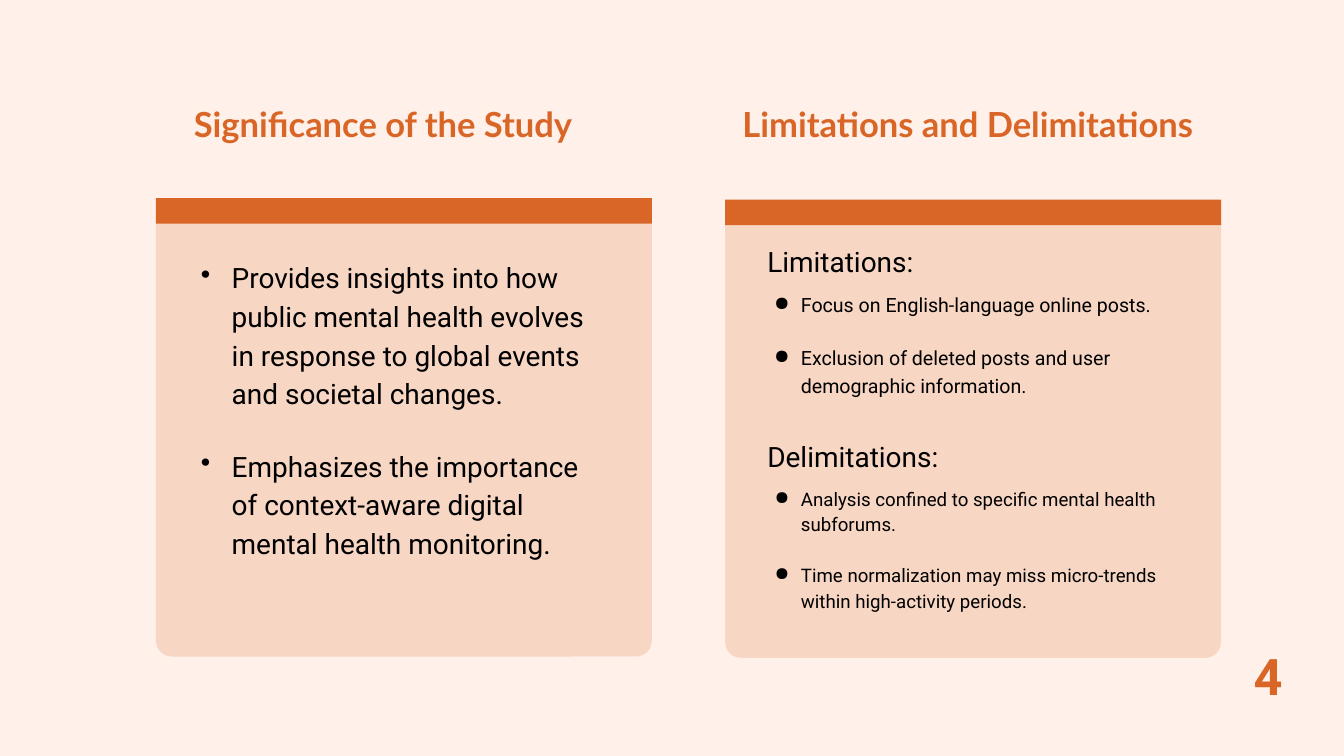
from pptx import Presentation
from pptx.dml.color import RGBColor
from pptx.enum.shapes import MSO_SHAPE as SHAPE
from pptx.enum.text import MSO_ANCHOR as ANCHOR, MSO_AUTO_SIZE as AUTO, PP_ALIGN as ALIGN
from pptx.oxml.ns import qn
from pptx.util import Inches, Pt
from lxml.etree import SubElement

COLORS = {"background": "FFF0E9", "accent": "D96627", "text": "000000"}
CARD_W, CARD_H, BAR_H = 7.38, 6.74, 0.38

# Each paragraph: text, size, bullet, hanging indent, space before, space after
CARDS = [
    {"heading": "Significance of the Study", "heading_left": 0.31,
     "left": 2.32, "top": 2.95, "text_top": 3.76, "paragraphs": [
         ("Provides insights into how public mental health evolves in response "
          "to global events and societal changes.", 30, "•", 0.46, 0, 36),
         ("Emphasizes the importance of context-aware digital mental health "
          "monitoring.", 30, "•", 0.46, 0, 0)]},
    {"heading": "Limitations and Delimitations", "heading_left": 9.01,
     "left": 10.79, "top": 2.97, "text_top": 3.52, "paragraphs": [
         ("Limitations:", 30, None, 0, 0, 0),
         ("Focus on English-language online posts.", 21, "●", 0.4, 12, 28),
         ("Exclusion of deleted posts and user demographic information.",
          21, "●", 0.4, 0, 28),
         ("Delimitations:", 30, None, 0, 12, 0),
         ("Analysis confined to specific mental health subforums.",
          20, "●", 0.39, 12, 27),
         ("Time normalization may miss micro-trends within high-activity periods.",
          20, "●", 0.39, 0, 0)]},
]


def rgb(name):
    return RGBColor.from_string(COLORS[name])


def style(p, font, size, color, bold=False):
    for r in p.runs:
        r.font.name, r.font.size, r.font.bold = font, Pt(size), bold
        r.font.color.rgb = rgb(color)


def place(sp, left, top, width, height):
    sp.left, sp.top, sp.width, sp.height = map(Inches, (left, top, width, height))


def add_label(sp, text, font, size):
    """Format a flush, centred accent label."""
    tf = sp.text_frame
    tf.text = text
    tf.word_wrap, tf.auto_size, tf.vertical_anchor = True, AUTO.NONE, ANCHOR.TOP
    tf.margin_left = tf.margin_right = tf.margin_top = tf.margin_bottom = 0
    p = tf.paragraphs[0]
    p.alignment, p.line_spacing = ALIGN.CENTER, 0.8
    style(p, font, size, "accent", True)


def add_block(s, kind, left, top, height, opacity=100):
    sp = s.shapes.add_shape(kind, Inches(left), Inches(top), Inches(CARD_W), Inches(height))
    sp.shadow.inherit = False
    sp.fill.solid()
    sp.fill.fore_color.rgb = rgb("accent")
    sp.line.fill.background()
    if opacity < 100:
        color = sp._element.spPr.find(qn("a:solidFill"))[0]
        SubElement(color, qn("a:alpha"), val=str(opacity * 1000))
    return sp


def add_bullet(p, char, hang):
    pPr = p._p.get_or_add_pPr()
    pPr.set("marL", str(Inches(0.5)))
    pPr.set("indent", str(-Inches(hang)))
    color = SubElement(pPr, qn("a:buClr"))
    SubElement(color, qn("a:srgbClr"), val=COLORS["text"])
    SubElement(pPr, qn("a:buChar"), char=char)


def add_card(s, card):
    left, top = card["left"], card["top"]
    add_block(s, SHAPE.RECTANGLE, left, top, BAR_H)
    body = add_block(s, SHAPE.ROUNDED_RECTANGLE, left, top + 0.08, CARD_H, 19)
    body.adjustments[0] = 0.035
    text_top = card["text_top"]
    box = s.shapes.add_textbox(Inches(left + 0.53), Inches(text_top), Inches(6.33),
                               Inches(top + CARD_H - text_top))
    tf = box.text_frame
    tf.word_wrap = True
    for i, (text, size, bullet, hang, before, after) in enumerate(card["paragraphs"]):
        p = tf.add_paragraph() if i else tf.paragraphs[0]
        p.text = text
        p.line_spacing, p.space_before, p.space_after = 1.15, Pt(before), Pt(after)
        style(p, "Roboto", size, "text")
        if bullet:
            add_bullet(p, bullet, hang)


def main():
    prs = Presentation()
    prs.slide_width, prs.slide_height = Inches(20), Inches(11.25)
    s = prs.slides.add_slide(prs.slide_layouts[5])
    s.background.fill.solid()
    s.background.fill.fore_color.rgb = rgb("background")
    for i, card in enumerate(CARDS):
        heading = s.shapes.add_textbox(0, 0, 0, 0) if i else s.shapes.title
        place(heading, card["heading_left"], 1.65, 10.78, 0.5)
        add_label(heading, card["heading"], "Lato", 37)
        add_card(s, card)
    number = s.shapes.add_textbox(0, 0, 0, 0)
    place(number, 18.29, 9.77, 1.16, 0.73)
    add_label(number, "4", "Roboto", 54)
    prs.save("out.pptx")


if __name__ == "__main__":
    main()
